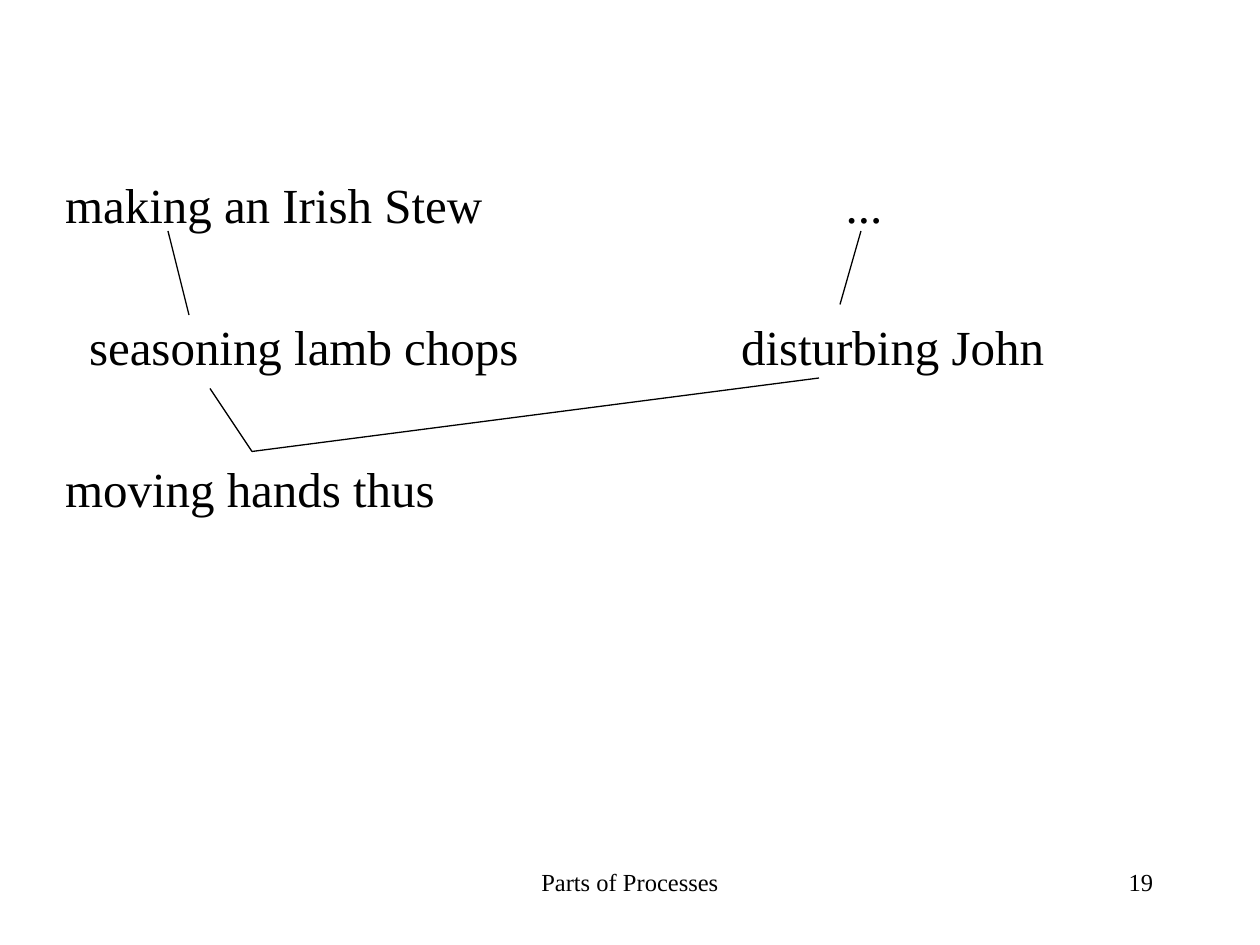
from lxml.etree import SubElement
from pptx import Presentation
from pptx.dml.color import RGBColor
from pptx.enum.shapes import MSO_CONNECTOR
from pptx.enum.text import MSO_ANCHOR, MSO_AUTO_SIZE, PP_ALIGN
from pptx.oxml.ns import qn
from pptx.util import Inches, Pt

COLUMNS, ROWS = 60, 45  # grid cells of a sixth of an inch


def color(value):
    return RGBColor.from_string(value)


def write(paragraph, text, font="Times New Roman", size=28, fill="000000",
          align=PP_ALIGN.LEFT, space_before=0, indent=0):
    properties = paragraph._p.get_or_add_pPr()
    properties.set("marL", str(Inches(indent)))
    properties.set("indent", "0")
    SubElement(properties, qn("a:buNone"))
    paragraph.text = text
    paragraph.alignment = align
    paragraph.space_before = Pt(space_before)
    paragraph.font.name = font
    paragraph.font.size = Pt(size)
    paragraph.font.color.rgb = color(fill)


class Deck:
    line_color = "000000"
    line_width = 0.75
    footer_size = 14
    level_gap = 47.6

    def __init__(self):
        self.presentation = Presentation()
        self.presentation.slide_width = Inches(10)
        self.presentation.slide_height = Inches(7.5)

    def add_slide(self):
        layout = self.presentation.slide_layouts[1]
        self.slide = self.presentation.slides.add_slide(layout)
        title = self.slide.shapes.title
        title.element.getparent().remove(title.element)

    def x(self, columns):
        return round(self.presentation.slide_width * columns / COLUMNS)

    def y(self, rows):
        return round(self.presentation.slide_height * rows / ROWS)

    def text_box(self, left, top, width, height):
        return self.slide.shapes.add_textbox(
            self.x(left), self.y(top), self.x(width), self.y(height))

    def body(self, left, top, width, height, levels):
        shape = self.slide.placeholders[1]
        shape.left, shape.top = self.x(left), self.y(top)
        shape.width, shape.height = self.x(width), self.y(height)
        self.fill_levels(shape, levels)

    def branch(self, left, top, width, height, levels):
        self.fill_levels(self.text_box(left, top, width, height), levels)

    def fill_levels(self, shape, levels):
        frame = shape.text_frame
        frame.word_wrap = True
        frame.auto_size = MSO_AUTO_SIZE.NONE
        frame.vertical_anchor = MSO_ANCHOR.TOP
        for index, (text, indent) in enumerate(levels):
            paragraph = frame.add_paragraph() if index else frame.paragraphs[0]
            write(paragraph, text, indent=indent,
                  space_before=self.level_gap if index else 0)

    def line(self, start, end):
        connector = self.slide.shapes.add_connector(
            MSO_CONNECTOR.STRAIGHT, self.x(start[0]), self.y(start[1]),
            self.x(end[0]), self.y(end[1]))
        connector.line.color.rgb = color(self.line_color)
        connector.line.width = Pt(self.line_width)
        SubElement(connector._element.spPr, qn("a:effectLst"))

    def footer(self, left, width, text, align):
        frame = self.text_box(left, 41, width, 3).text_frame
        frame.word_wrap = True
        write(frame.paragraphs[0], text, size=self.footer_size, align=align)


def main():
    deck = Deck()
    deck.add_slide()

    # Processes, level by level, as text and indent
    deck.body(2.5, 8, 30, 24, [
        ("making an Irish Stew", 0),
        ("seasoning lamb chops", 0.19),
        ("moving hands thus", 0),
    ])
    deck.branch(34.7, 8, 23.3, 12, [("...", 0.83), ("disturbing John", 0)])

    # Links from whole to part
    hands = (12, 21.5)
    for start, end in [
        ((8, 11), (9, 15)),
        ((10, 18.5), hands),
        (hands, (39, 18)),
        ((41, 11), (40, 14.5)),
    ]:
        deck.line(start, end)

    # Footer
    deck.footer(20.5, 19, "Parts of Processes", PP_ALIGN.CENTER)
    deck.footer(43, 12.5, "19", PP_ALIGN.RIGHT)

    deck.presentation.save("out.pptx")


if __name__ == "__main__":
    main()
